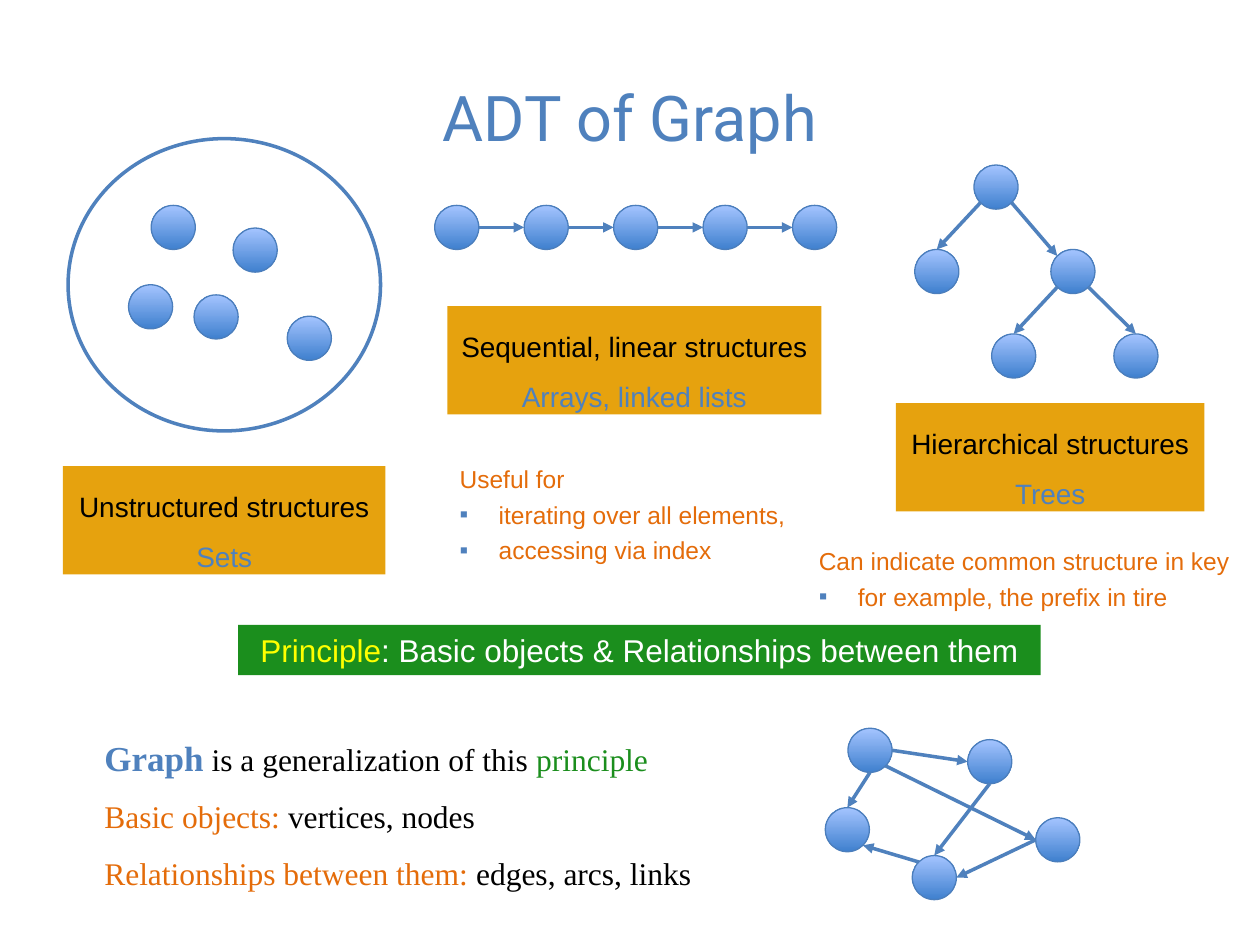
"""Build the "ADT of Graph" slide: sets, sequences, trees and general graphs."""
from enum import Enum
from math import cos, radians, sin
from typing import NamedTuple, Optional

from lxml.etree import SubElement
from pptx import Presentation
from pptx.dml.color import RGBColor
from pptx.enum.shapes import MSO_CONNECTOR as Connector, MSO_SHAPE as Shape
from pptx.enum.text import MSO_ANCHOR as Anchor, MSO_AUTO_SIZE as AutoSize, PP_ALIGN as Align
from pptx.oxml.ns import qn
from pptx.util import Inches, Pt

COLUMNS, ROWS = 100, 75
SLIDE_WIDTH, SLIDE_HEIGHT = Inches(10), Inches(7.5)
NODE_SIZE = 3.5
CHAIN_STEP = 7.1

BLUE = RGBColor(0x4F, 0x81, 0xBD)
NODE_EDGE = RGBColor(0x4B, 0x7E, 0xBC)
NODE_DARK = RGBColor(0x3F, 0x80, 0xCE)
NODE_LIGHT = RGBColor(0xA4, 0xC4, 0xFF)
AMBER = RGBColor(0xE6, 0xA2, 0x0E)
ORANGE = RGBColor(0xE4, 0x6C, 0x0A)
GREEN = RGBColor(0x1B, 0x8E, 0x1D)
YELLOW = RGBColor(0xFF, 0xFF, 0x00)
WHITE = RGBColor(0xFF, 0xFF, 0xFF)
BLACK = RGBColor(0x00, 0x00, 0x00)


class Site(Enum):
    RIGHT = 0
    LOWER_RIGHT = 45
    BOTTOM = 90
    LOWER_LEFT = 135
    LEFT = 180
    UPPER_LEFT = 225
    TOP = 270


class Area(NamedTuple):
    column: float
    row: float
    columns: float
    rows: float


class Node(NamedTuple):
    column: float
    row: float


class Edge(NamedTuple):
    start: Node
    start_site: Site
    end: Node
    end_site: Site


class Span(NamedTuple):
    text: str
    color: RGBColor
    size: float
    bold: bool = False


class Para(NamedTuple):
    spans: list[Span]
    bullet: bool = False


class TextBlock(NamedTuple):
    area: Area
    paras: list[Para]
    font: str = "Arial"
    align: Align = Align.LEFT
    spacing: float = 1.0
    fill: Optional[RGBColor] = None
    anchor: Anchor = Anchor.TOP
    grow: bool = True


def across(columns: float) -> int:
    """Turn grid columns into a length."""
    return round(SLIDE_WIDTH * columns / COLUMNS)


def down(rows: float) -> int:
    """Turn grid rows into a length."""
    return round(SLIDE_HEIGHT * rows / ROWS)


def frame(area: Area) -> tuple[int, int, int, int]:
    """Return left, top, width and height of an area."""
    return across(area.column), down(area.row), across(area.columns), down(area.rows)


def add_bullet(para) -> None:
    """Give a paragraph a hanging square bullet."""
    props = para._p.get_or_add_pPr()
    props.set("marL", str(Inches(0.31)))
    props.set("indent", str(-Inches(0.31)))
    color = SubElement(props, qn("a:buClr"))
    SubElement(color, qn("a:srgbClr"), val=str(BLUE))
    SubElement(props, qn("a:buFont"), typeface="Arial")
    SubElement(props, qn("a:buChar"), char="▪")


def draw_text(page, block: TextBlock) -> None:
    """Draw a text box or a filled label."""
    if block.fill is None:
        box = page.shapes.add_textbox(*frame(block.area))
    else:
        box = page.shapes.add_shape(Shape.RECTANGLE, *frame(block.area))
        box.shadow.inherit = False
        box.fill.solid()
        box.fill.fore_color.rgb = block.fill
        box.line.fill.background()
    text_frame = box.text_frame
    text_frame.word_wrap = True
    text_frame.auto_size = AutoSize.SHAPE_TO_FIT_TEXT if block.grow else AutoSize.NONE
    text_frame.vertical_anchor = block.anchor
    for index, item in enumerate(block.paras):
        para = text_frame.add_paragraph() if index else text_frame.paragraphs[0]
        para.alignment = block.align
        para.line_spacing = block.spacing
        if item.bullet:
            add_bullet(para)
        for span in item.spans:
            run = para.add_run()
            run.text = span.text
            run.font.name = block.font
            run.font.size = Pt(span.size)
            run.font.bold = span.bold
            run.font.color.rgb = span.color


def draw_set_outline(page, area: Area) -> None:
    """Draw the ellipse that encloses the set."""
    outline = page.shapes.add_shape(Shape.OVAL, *frame(area))
    outline.shadow.inherit = False
    outline.fill.solid()
    outline.fill.fore_color.rgb = WHITE
    outline.line.color.rgb = BLUE
    outline.line.width = Pt(2)


def draw_node(page, node: Node) -> None:
    """Draw a shaded round node."""
    disc = page.shapes.add_shape(Shape.OVAL, *frame(Area(*node, NODE_SIZE, NODE_SIZE)))
    disc.shadow.inherit = False
    disc.fill.gradient()
    disc.fill.gradient_angle = 90
    for stop, color in zip(disc.fill.gradient_stops, (NODE_DARK, NODE_LIGHT)):
        stop.color.rgb = color
    disc.line.color.rgb = NODE_EDGE
    disc.line.width = Pt(0.75)


def rim_point(node: Node, site: Site) -> tuple[int, int]:
    """Return the point of a node's rim at a site."""
    radius, angle = NODE_SIZE / 2, radians(site.value)
    return (across(node.column + radius * (1 + cos(angle))),
            down(node.row + radius * (1 + sin(angle))))


def draw_edge(page, edge: Edge) -> None:
    """Draw an arrow between two nodes."""
    arrow = page.shapes.add_connector(Connector.STRAIGHT,
                                      *rim_point(edge.start, edge.start_site),
                                      *rim_point(edge.end, edge.end_site))
    arrow.line.color.rgb = BLUE
    arrow.line.width = Pt(2)
    SubElement(arrow.line._get_or_add_ln(), qn("a:tailEnd"), type="triangle")
    SubElement(arrow._element.spPr, qn("a:effectLst"))


def draw_network(page, nodes: list[Node], edges: list[Edge]) -> None:
    """Draw nodes and then the arrows between them."""
    for node in nodes:
        draw_node(page, node)
    for edge in edges:
        draw_edge(page, edge)


def label(area: Area, kind: str, examples: str) -> TextBlock:
    """Describe an amber label with a kind of structure and its examples."""
    paras = [Para([Span(kind, BLACK, 16)]), Para([Span(examples, BLUE, 16)])]
    return TextBlock(area, paras, align=Align.CENTER, spacing=1.5, fill=AMBER)


def remark(area: Area, lead: str, *points: str) -> TextBlock:
    """Describe an orange remark with bulleted points."""
    paras = [Para([Span(lead, ORANGE, 14)])]
    paras += [Para([Span(point, ORANGE, 14)], bullet=True) for point in points]
    return TextBlock(area, paras, spacing=1.2)


def definition(term: str, meaning: str) -> Para:
    """Describe a term followed by its meaning."""
    return Para([Span(term, ORANGE, 18), Span(meaning, BLACK, 18)])


MEMBERS = [Node(12, 16.3), Node(18.5, 18.1), Node(10.2, 22.6), Node(15.4, 23.4), Node(22.8, 25.1)]
CHAIN = [Node(34.5 + CHAIN_STEP * index, 16.3) for index in range(5)]
LINKS = [Edge(a, Site.RIGHT, b, Site.LEFT) for a, b in zip(CHAIN, CHAIN[1:])]
TREE = ROOT, LEAF, BRANCH, LEFT_LEAF, RIGHT_LEAF = [
    Node(77.3, 13.1), Node(72.6, 19.8), Node(83.4, 19.8), Node(78.7, 26.5), Node(88.4, 26.5)]
BRANCHES = [Edge(ROOT, Site.LOWER_RIGHT, BRANCH, Site.UPPER_LEFT),
            Edge(ROOT, Site.LOWER_LEFT, LEAF, Site.TOP),
            Edge(BRANCH, Site.LOWER_RIGHT, RIGHT_LEAF, Site.TOP),
            Edge(BRANCH, Site.LOWER_LEFT, LEFT_LEAF, Site.TOP)]
GRAPH = NORTH_WEST, NORTH, WEST, SOUTH, EAST = [
    Node(67.3, 57.8), Node(76.8, 58.7), Node(65.5, 64.1), Node(72.4, 67.9), Node(82.2, 64.9)]
ARCS = [Edge(NORTH_WEST, Site.RIGHT, NORTH, Site.LEFT),
        Edge(NORTH_WEST, Site.BOTTOM, WEST, Site.TOP),
        Edge(NORTH_WEST, Site.LOWER_RIGHT, EAST, Site.LEFT),
        Edge(EAST, Site.LEFT, SOUTH, Site.RIGHT),
        Edge(SOUTH, Site.UPPER_LEFT, WEST, Site.LOWER_RIGHT),
        Edge(NORTH, Site.BOTTOM, SOUTH, Site.TOP)]
TITLE = TextBlock(Area(5, 3, 90, 12.5), [Para([Span("ADT of Graph", BLUE, 36)])], "Roboto",
                  Align.CENTER, anchor=Anchor.MIDDLE, grow=False)
TEXTS = [
    label(Area(5, 37, 25.6, 8.6), "Unstructured structures ", "Sets"),
    label(Area(35.5, 24.3, 29.7, 8.6), "Sequential, linear structures ", "Arrays, linked lists"),
    label(Area(71.1, 32, 24.5, 8.6), "Hierarchical structures", "Trees"),
    remark(Area(35.5, 35.9, 29.6, 9.2), "Useful for",
           "iterating over all elements,", "accessing via index"),
    remark(Area(64, 42.4, 34.8, 6.4), "Can indicate common structure in key",
           "for example, the prefix in tire"),
    TextBlock(Area(18.9, 49.6, 63.7, 4), [Para([
        Span("Principle", YELLOW, 18),
        Span(": Basic objects & Relationships between them", WHITE, 18)])],
        align=Align.CENTER, fill=GREEN),
    TextBlock(Area(7.3, 56.3, 53.6, 14.6), [
        Para([Span("Graph", BLUE, 20, True), Span(" is a generalization of this ", BLACK, 18),
              Span("principle", GREEN, 18)]),
        definition("Basic objects: ", "vertices, nodes"),
        definition("Relationships between them: ", "edges, arcs, links")],
        "Times New Roman", spacing=1.5),
]


def main() -> None:
    """Build and save the deck."""
    deck = Presentation()
    deck.slide_width, deck.slide_height = SLIDE_WIDTH, SLIDE_HEIGHT
    page = deck.slides.add_slide(deck.slide_layouts[6])
    draw_text(page, TITLE)
    draw_set_outline(page, Area(5.4, 11, 24.8, 23.2))
    for nodes, edges in ((MEMBERS, []), (CHAIN, LINKS), (TREE, BRANCHES), (GRAPH, ARCS)):
        draw_network(page, nodes, edges)
    for block in TEXTS:
        draw_text(page, block)
    deck.save("out.pptx")


if __name__ == "__main__":
    main()
